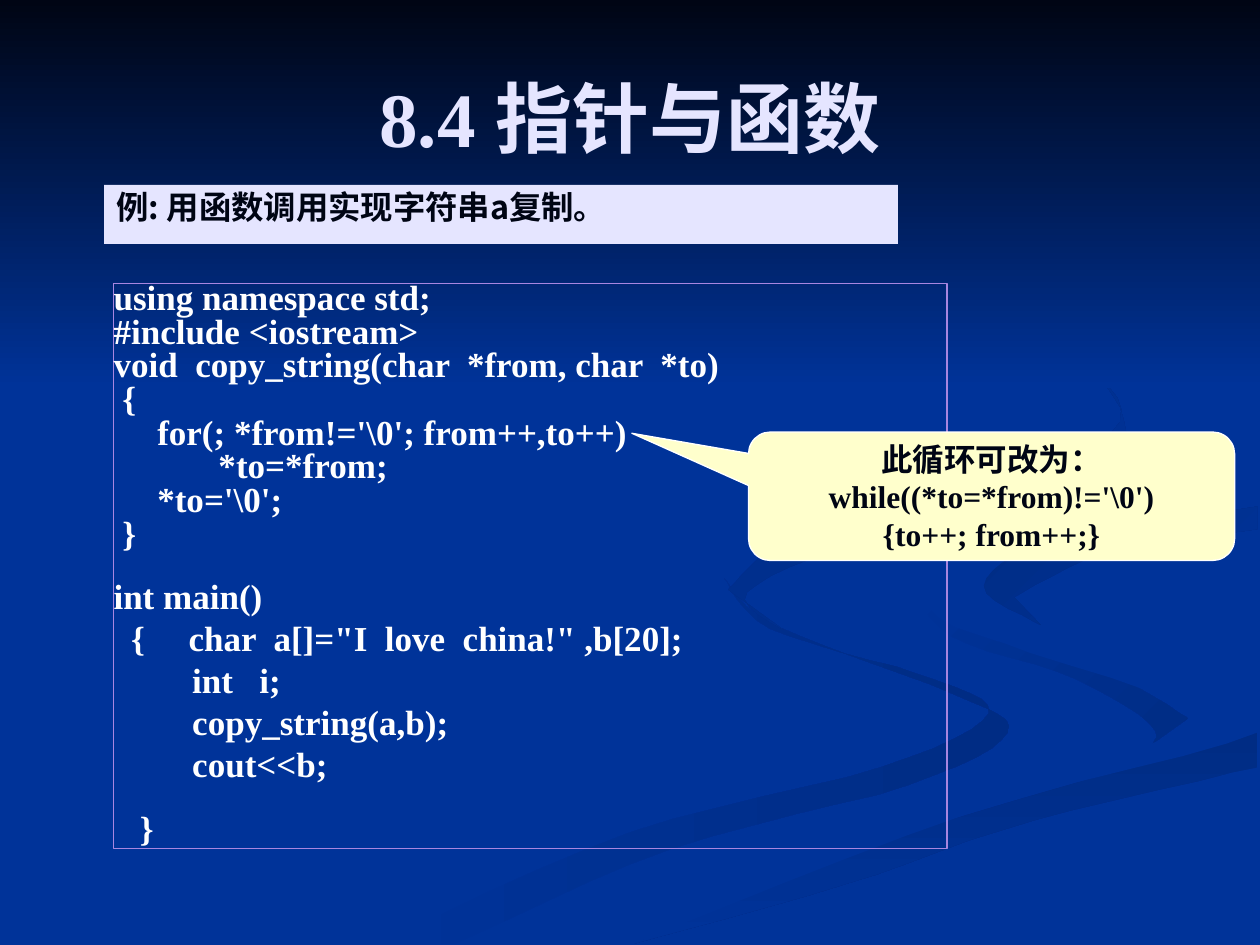
from lxml.etree import SubElement
from pptx import Presentation
from pptx.dml.color import RGBColor
from pptx.enum.shapes import MSO_SHAPE as Shape
from pptx.enum.text import MSO_ANCHOR as Anchor, PP_ALIGN as Align
from pptx.oxml.ns import qn
from pptx.util import Cm, Pt

COLORS = {
    "blue": "003399",
    "shade": "002C84",
    "night": "000514",
    "lavender": "E5E5FF",
    "violet": "A886E0",
    "cream": "FFFFCC",
    "white": "FFFFFF",
}
LATIN, CJK = "Times New Roman", "Noto Sans CJK SC"
HUNDREDTH_INCH = Cm(0.0254)
CURVE_STEPS = 6

# Ribbons: fill stops, clockwise angle, then the two edges as knots
# in hundredths of an inch
RIBBONS = [
    (("blue", "shade"), 0,
     [(575, 459), (611, 499), (728, 535), (785, 566), (699, 609), (499, 661), (300, 749)],
     [(361, 749), (532, 674), (721, 623), (800, 581), (757, 551), (614, 496), (575, 459)]),
    (("blue", "shade"), 45,
     [(724, 464), (755, 505), (854, 539), (917, 580), (894, 605)],
     [(943, 570), (870, 530), (758, 498), (724, 464)]),
    (("shade", "blue"), 90,
     [(503, 749), (670, 702), (821, 651), (998, 609)],
     [(998, 581), (797, 638), (630, 693), (503, 749)]),
    (("blue", "blue"), 0,
     [(999, 387), (808, 417), (725, 464), (793, 509), (943, 570), (780, 634), (477, 749)],
     [(503, 749), (765, 647), (999, 581), (999, 538), (832, 498), (792, 447), (999, 402)]),
    (("shade", "blue"), 45,
     [(998, 402), (835, 430), (781, 465), (826, 496)],
     [(805, 474), (878, 439), (998, 420)]),
    (("shade", "blue"), 45,
     [(762, 233), (864, 291), (892, 354), (825, 402), (683, 430), (593, 470), (622, 500)],
     [(578, 468), (637, 422), (791, 392), (889, 335), (846, 279), (762, 233)]),
]

# Each paragraph: (text, line spacing, points before)
PROGRAM = [
    ("using namespace std;", 0.8, 0),
    ("""#include <iostream>
void  copy_string(char  *from, char  *to)
 {
     for(; *from!='\\0'; from++,to++)
            *to=*from;
     *to='\\0';
 }""", 0.8, 0),
    ("""int main()
  {     char  a[]="I  love  china!" ,b[20];
         int   i;
         copy_string(a,b);
         cout<<b;""", 1, 12.5),
    ("   }", 1, 12.5),
]
LOOP_NOTE = """此循环可改为：
while((*to=*from)!='\\0')
{to++; from++;}"""


def rgb(name):
    return RGBColor.from_string(COLORS[name])


def paint(shape, fill=None, line=None):
    shape.shadow.inherit = False
    if fill:
        shape.fill.solid()
        shape.fill.fore_color.rgb = rgb(fill)
    else:
        shape.fill.background()
    if line:
        shape.line.color.rgb = rgb(line)
        shape.line.width = Pt(0.75)
    else:
        shape.line.fill.background()


def shade(shape, stops, angle):
    paint(shape)
    shape.fill.gradient()
    shape.fill.gradient_angle = (360 - angle) % 360
    for stop, color in zip(shape.fill.gradient_stops, stops):
        stop.color.rgb = rgb(color)


def smooth_edge(knots):
    """Points of a Catmull-Rom curve through the knots."""
    padded = [knots[0], *knots, knots[-1]]
    points = [knots[0]]
    for segment in zip(padded, padded[1:], padded[2:], padded[3:]):
        for step in range(1, CURVE_STEPS + 1):
            t = step / CURVE_STEPS
            points.append(tuple(
                b + t / 2 * (c - a + t * (2 * a - 5 * b + 4 * c - d
                                          + t * (3 * (b - c) + d - a)))
                for a, b, c, d in zip(*segment)))
    return points


def add_ribbon(slide, stops, angle, near_edge, far_edge):
    points = smooth_edge(near_edge) + smooth_edge(far_edge)
    outline = slide.shapes.build_freeform(*points[0], scale=HUNDREDTH_INCH)
    outline.add_line_segments(points[1:], close=True)
    shade(outline.convert_to_shape(), stops, angle)


def write(shape, paragraphs, size, color, latin=LATIN, align=Align.LEFT,
          anchor=Anchor.TOP, wrap=True, inset=None):
    frame = shape.text_frame
    frame.word_wrap = wrap
    frame.vertical_anchor = anchor
    if inset is not None:
        frame.margin_left = frame.margin_right = inset
        frame.margin_top = frame.margin_bottom = inset
    for i, (text, spacing, before) in enumerate(paragraphs):
        paragraph = frame.add_paragraph() if i else frame.paragraphs[0]
        paragraph.text = text
        paragraph.alignment = align
        paragraph.line_spacing = spacing
        paragraph.space_before = Pt(before)
        font = paragraph.font
        font.name, font.size, font.bold = latin, Pt(size), True
        font.color.rgb = rgb(color)
        # East Asian typeface
        defaults = paragraph._p.pPr.find(qn("a:defRPr"))
        SubElement(defaults, qn("a:ea"), typeface=CJK)


def add_box(slide, kind, left, top, width, height):
    return slide.shapes.add_shape(kind, Cm(left), Cm(top), Cm(width), Cm(height))


def main():
    prs = Presentation()
    prs.slide_width, prs.slide_height = Cm(25.4), Cm(19.05)
    slide = prs.slides.add_slide(prs.slide_layouts[6])

    # Backdrop
    slide.background.fill.solid()
    slide.background.fill.fore_color.rgb = rgb("blue")
    for ribbon in RIBBONS:
        add_ribbon(slide, *ribbon)
    sky = add_box(slide, Shape.RECTANGLE, 0, 0, 25.4, 7.82)
    shade(sky, ("night", "blue"), 90)

    # Program listing
    listing = add_box(slide, Shape.RECTANGLE, 2.29, 5.72, 16.8, 11.39)
    paint(listing, line="violet")
    write(listing, PROGRAM, 20, "white", inset=0)

    # Example statement
    example = add_box(slide, Shape.RECTANGLE, 2.1, 3.73, 16, 1.19)
    paint(example, fill="lavender")
    write(example, [("例: 用函数调用实现字符串a复制。", 0.9, 0)], 18.5, "night", latin=CJK)

    # Note pointing at the loop
    note = add_box(slide, Shape.ROUNDED_RECTANGULAR_CALLOUT, 15.09, 8.71, 9.8, 2.59)
    for i, value in enumerate((-0.74, -0.49, 0.17)):
        note.adjustments[i] = value
    paint(note, fill="cream", line="white")
    write(note, [(LOOP_NOTE, 1, 0)], 18, "night",
          align=Align.CENTER, anchor=Anchor.MIDDLE, wrap=False)

    # Title
    title = slide.shapes.add_textbox(Cm(1.27), Cm(0.76), Cm(22.86), Cm(3.18))
    write(title, [("8.4 指针与函数", 1, 0)], 44, "lavender",
          align=Align.CENTER, anchor=Anchor.MIDDLE)

    prs.save("out.pptx")


if __name__ == "__main__":
    main()
